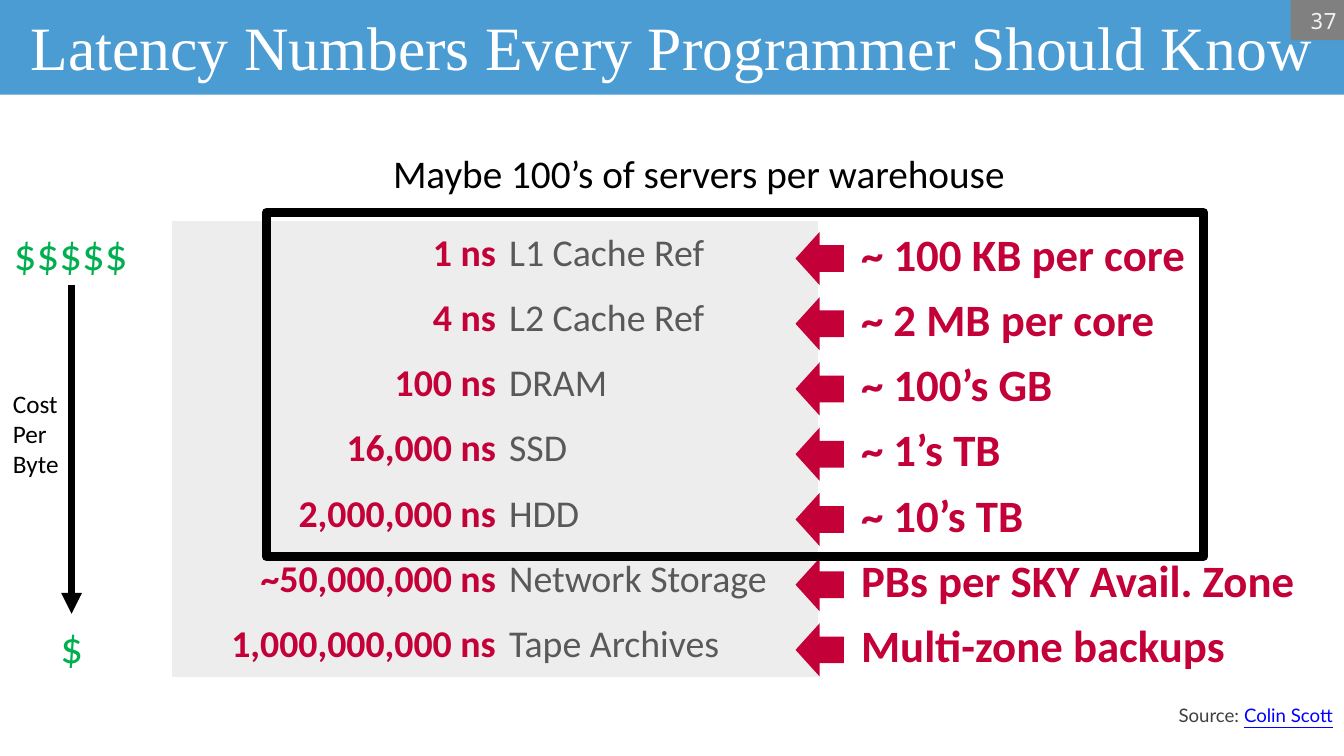
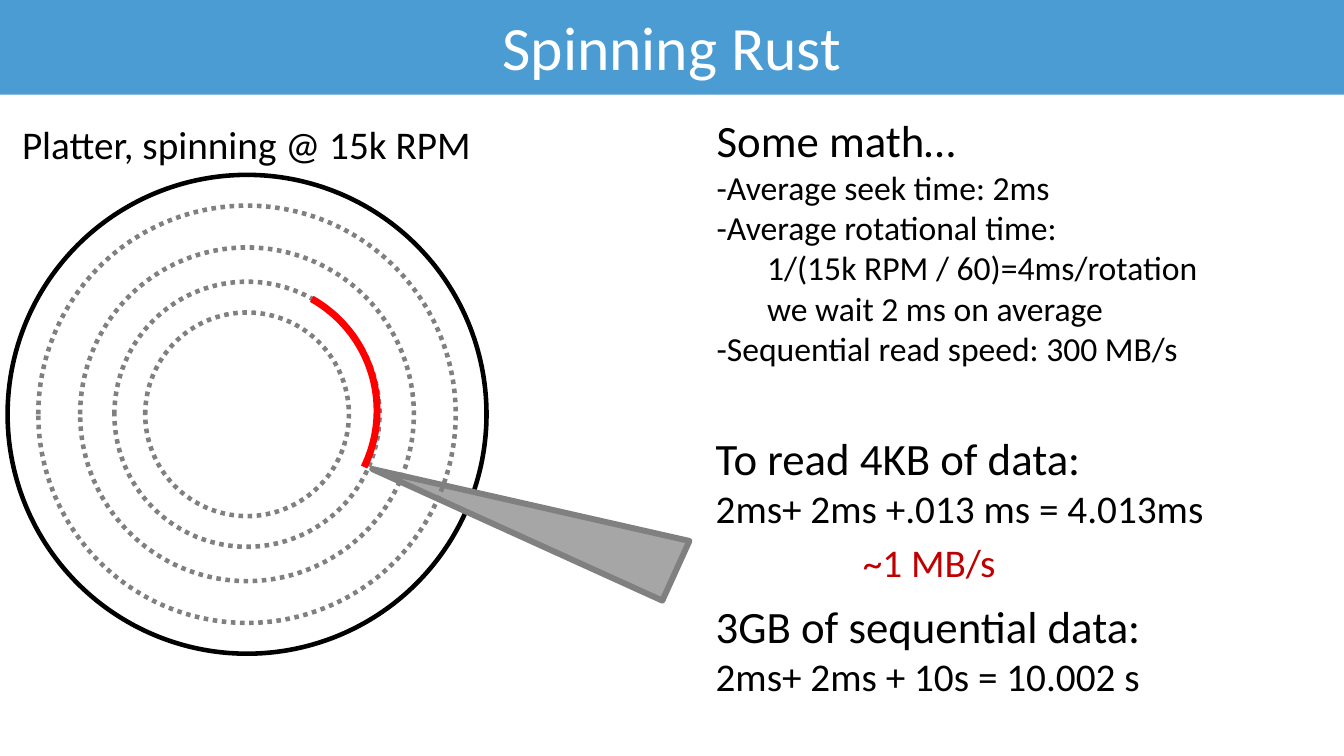
import pptx
import pptx.util
import pptx.dml.color
import pptx.enum.dml
import pptx.enum.shapes
import pptx.enum.text
import lxml.etree

Inches, Pt = pptx.util.Inches, pptx.util.Pt
SHAPE = pptx.enum.shapes.MSO_SHAPE
ALIGN = pptx.enum.text.PP_ALIGN
MIDDLE = pptx.enum.text.MSO_ANCHOR.MIDDLE
DOTTED = pptx.enum.dml.MSO_LINE.ROUND_DOT
DRAWING = "http://schemas.openxmlformats.org/drawingml/2006/main"
NO_TABLE_STYLE = "{2D5ABB26-0587-4C30-8999-92F81FD0307C}"

BLUE, WHITE, BLACK, GRAY = "4B9CD3", "FFFFFF", "000000", "808080"
CRIMSON, GREEN, RED = "C30037", "00B050", "FF0000"
BODY_FONT = "Calibri"
SLIDE_WIDTH, SLIDE_HEIGHT = 13.33, 7.5

LATENCIES = [
    ("1 ns", "L1 Cache Ref", "~ 100 KB per core", 3.25),
    ("4 ns", "L2 Cache Ref", "~ 2 MB per core", 2.94),
    ("100 ns", "DRAM", "~ 100’s GB", 1.92),
    ("16,000 ns", "SSD", "~ 1’s TB", 1.4),
    ("2,000,000 ns", "HDD", "~ 10’s TB", 1.63),
    ("~50,000,000 ns", "Network Storage", "PBs per SKY Avail. Zone", 4.52),
    ("1,000,000,000 ns", "Tape Archives", "Multi-zone backups", 3.64),
]
TABLE_LEFT, TABLE_TOP, TABLE_HEIGHT = 1.71, 2.19, 4.53
COLUMN_WIDTHS = (3.34, 3.06)
ROW_HEIGHT = TABLE_HEIGHT / len(LATENCIES)

PLATTER_CENTER, PLATTER_DIAMETER = (2.45, 4.11), 4.75
TRACK_DIAMETERS = (4.14, 3.31, 2.63, 2.02)
MATH = [
    ("Some math…", 32, 0),
    ("-Average seek time: 2ms", 24, 0),
    ("-Average rotational time:", 24, 0),
    ("1/(15k RPM / 60)=4ms/rotation", 24, 0.5),
    ("we wait 2 ms on average", 24, 0.5),
    ("-Sequential read speed: 300 MB/s", 24, 0),
]
RESULTS = [
    ((7, 4.22, 5.11, 1.11), ("To read 4KB of data:", "2ms+ 2ms +.013 ms = 4.013ms")),
    ((7, 5.89, 4.47, 1.11), ("3GB of sequential data:", "2ms+ 2ms + 10s = 10.002 s")),
]


def rgb(value):
    return pptx.dml.color.RGBColor.from_string(value)


def format_runs(paragraph, size, color, font=BODY_FONT, bold=False):
    for run in paragraph.runs:
        run.font.size = Pt(size)
        run.font.name = font
        run.font.bold = bold
        run.font.color.rgb = rgb(color)


def set_margins(target, left, top, right, bottom):
    target.margin_left, target.margin_top = Inches(left), Inches(top)
    target.margin_right, target.margin_bottom = Inches(right), Inches(bottom)


def set_line(line, color, width, dash=None):
    line.color.rgb = rgb(color)
    line.width = Pt(width)
    if dash is not None:
        line.dash_style = dash


def add_shape(slide, kind, box, fill=None, line=None):
    shape = slide.shapes.add_shape(kind, *map(Inches, box))
    shape.shadow.inherit = False
    if fill:
        shape.fill.solid()
        shape.fill.fore_color.rgb = rgb(fill)
    else:
        shape.fill.background()
    if line:
        set_line(shape.line, *line)
    else:
        shape.line.fill.background()
    return shape


def add_circle(slide, center, diameter, line):
    left, top = (position - diameter / 2 for position in center)
    return add_shape(slide, SHAPE.OVAL, (left, top, diameter, diameter), line=line)


def add_text(slide, box, lines, sizes, color=BLACK, font=BODY_FONT, bold=False, wrap=False):
    shape = slide.shapes.add_textbox(*map(Inches, box))
    frame = shape.text_frame
    frame.word_wrap = wrap
    frame.text = "\n".join(lines)
    for paragraph, size in zip(frame.paragraphs, sizes):
        format_runs(paragraph, size, color, font, bold)
    return shape


def add_titled_slide(presentation, title, font=BODY_FONT):
    slide = presentation.slides.add_slide(presentation.slide_layouts[6])
    band = add_shape(slide, SHAPE.RECTANGLE, (0, -0.02, SLIDE_WIDTH, 0.96), BLUE)
    frame = band.text_frame
    frame.vertical_anchor = MIDDLE
    frame.text = title
    frame.paragraphs[0].alignment = ALIGN.CENTER
    format_runs(frame.paragraphs[0], 44, WHITE, font)
    return slide


def add_latency_table(slide):
    frame = slide.shapes.add_table(
        len(LATENCIES), 2, Inches(TABLE_LEFT), Inches(TABLE_TOP),
        Inches(sum(COLUMN_WIDTHS)), Inches(TABLE_HEIGHT))
    table = frame.table
    table.first_row = table.horz_banding = False
    next(frame._element.iter(f"{{{DRAWING}}}tableStyleId")).text = NO_TABLE_STYLE
    for column, width in zip(table.columns, COLUMN_WIDTHS):
        column.width = Inches(width)
    styles = [(ALIGN.RIGHT, 0.13, CRIMSON, True), (ALIGN.LEFT, 0, "595959", False)]
    for row, entry in enumerate(LATENCIES):
        table.rows[row].height = Inches(ROW_HEIGHT)
        for column, (alignment, right_margin, color, bold) in enumerate(styles):
            cell = table.cell(row, column)
            cell.fill.solid()
            cell.fill.fore_color.rgb = rgb("EDEDED")
            cell.vertical_anchor = MIDDLE
            set_margins(cell, 0, 0, right_margin, 0)
            cell.text = entry[column]
            paragraph = cell.text_frame.paragraphs[0]
            paragraph.alignment = alignment
            format_runs(paragraph, 27, color, bold=bold)


def add_capacities(slide):
    for row, (_, _, capacity, width) in enumerate(LATENCIES):
        top = TABLE_TOP + row * ROW_HEIGHT
        add_shape(slide, SHAPE.LEFT_ARROW, (7.89, top + 0.11, 0.48, 0.53), CRIMSON)
        label = add_text(slide, (8.54, top + 0.16, width, 0.44), [capacity], [32], CRIMSON, bold=True)
        set_margins(label.text_frame, 0, 0, 0, 0)
        label.text_frame.paragraphs[0].line_spacing = 0.8


def add_cost_scale(slide):
    expensive = add_text(slide, (0.04, 2.19, 1.34, 0.64), ["$$$$$"], [32], GREEN)
    cheap = add_text(slide, (0.5, 6.09, 0.42, 0.64), ["$"], [32], GREEN)
    arrow = slide.shapes.add_connector(
        pptx.enum.shapes.MSO_CONNECTOR.STRAIGHT, 0, 0, 0, 0)
    arrow.begin_connect(expensive, 2)
    arrow.end_connect(cheap, 0)
    set_line(arrow.line, BLACK, 5)
    line = arrow.line._get_or_add_ln()
    lxml.etree.SubElement(line, f"{{{DRAWING}}}tailEnd", type="triangle")
    lxml.etree.SubElement(arrow._element.spPr, f"{{{DRAWING}}}effectLst")
    add_text(slide, (0.03, 3.8, 0.66, 1.01), ["Cost", "Per", "Byte"], [18] * 3)


def add_source(slide):
    source = add_text(slide, (11.66, 7.01, 1.67, 0.49), ["Source: "], [13.3], "404040", "Lato")
    set_margins(source.text_frame, 0, 0, 0.11, 0.27)
    paragraph = source.text_frame.paragraphs[0]
    paragraph.alignment = ALIGN.RIGHT
    author = paragraph.add_run()
    author.text = "Colin Scott"
    author.font.size, author.font.name = Pt(13.3), "Lato"
    author.font.color.rgb = rgb("0000FF")
    author.font.underline = True


def add_page_number(slide, number):
    badge = add_shape(slide, SHAPE.RECTANGLE, (12.8, 0, 0.53, 0.4), GRAY)
    frame = badge.text_frame
    set_margins(frame, 0, 0.07, 0.07, 0.07)
    frame.vertical_anchor = MIDDLE
    frame.text = number
    frame.paragraphs[0].alignment = ALIGN.RIGHT
    format_runs(frame.paragraphs[0], 16, "F2F2F2", "Noto Sans Mono")


def build_latency_slide(presentation):
    slide = add_titled_slide(
        presentation, "Latency Numbers Every Programmer Should Know", "Times New Roman")
    add_latency_table(slide)
    add_source(slide)
    add_page_number(slide, "37")
    add_cost_scale(slide)
    add_capacities(slide)
    add_shape(slide, SHAPE.RECTANGLE, (2.64, 2.11, 9.3, 3.41), line=(BLACK, 6.5))
    add_text(slide, (3.8, 1.43, 6.34, 0.57), ["Maybe 100’s of servers per warehouse"], [28])


def add_disk(slide):
    add_circle(slide, PLATTER_CENTER, PLATTER_DIAMETER, (BLACK, 3.25))
    arm = add_shape(slide, SHAPE.ISOSCELES_TRIANGLE, (4.94, 3.43, 0.65, 3.16), "A6A6A6", (GRAY, 4.25))
    arm.adjustments[0] = 0
    arm.rotation = 294.4
    for diameter in TRACK_DIAMETERS:
        add_circle(slide, PLATTER_CENTER, diameter, (GRAY, 3.25, DOTTED))
    add_text(slide, (0.12, 1.14, 4.71, 0.57), ["Platter, spinning @ 15k RPM"], [28])
    read_arc = add_shape(slide, SHAPE.ARC, (1.19, 2.8, 2.55, 2.55), line=(RED, 5))
    read_arc.adjustments[0], read_arc.adjustments[1] = 5.33, 57.22
    read_arc.rotation = 290.6


def build_disk_slide(presentation):
    slide = add_titled_slide(presentation, "Spinning Rust")
    add_disk(slide)
    lines, sizes, indents = zip(*MATH)
    math_text = add_text(slide, (7.01, 1.07, 6.6, 2.66), lines, sizes, wrap=True)
    for paragraph, indent in zip(math_text.text_frame.paragraphs, indents):
        if indent:
            paragraph._p.get_or_add_pPr().set("marL", str(Inches(indent)))
    for box, result in RESULTS:
        add_text(slide, box, result, (32, 28))
    add_text(slide, (8.46, 5.29, 1.54, 0.57), ["~1 MB/s"], [28], "C00000")


def main():
    """Build the latency and disk slides."""
    presentation = pptx.Presentation()
    presentation.slide_width = Inches(SLIDE_WIDTH)
    presentation.slide_height = Inches(SLIDE_HEIGHT)
    build_latency_slide(presentation)
    build_disk_slide(presentation)
    presentation.save("out.pptx")


if __name__ == "__main__":
    main()
